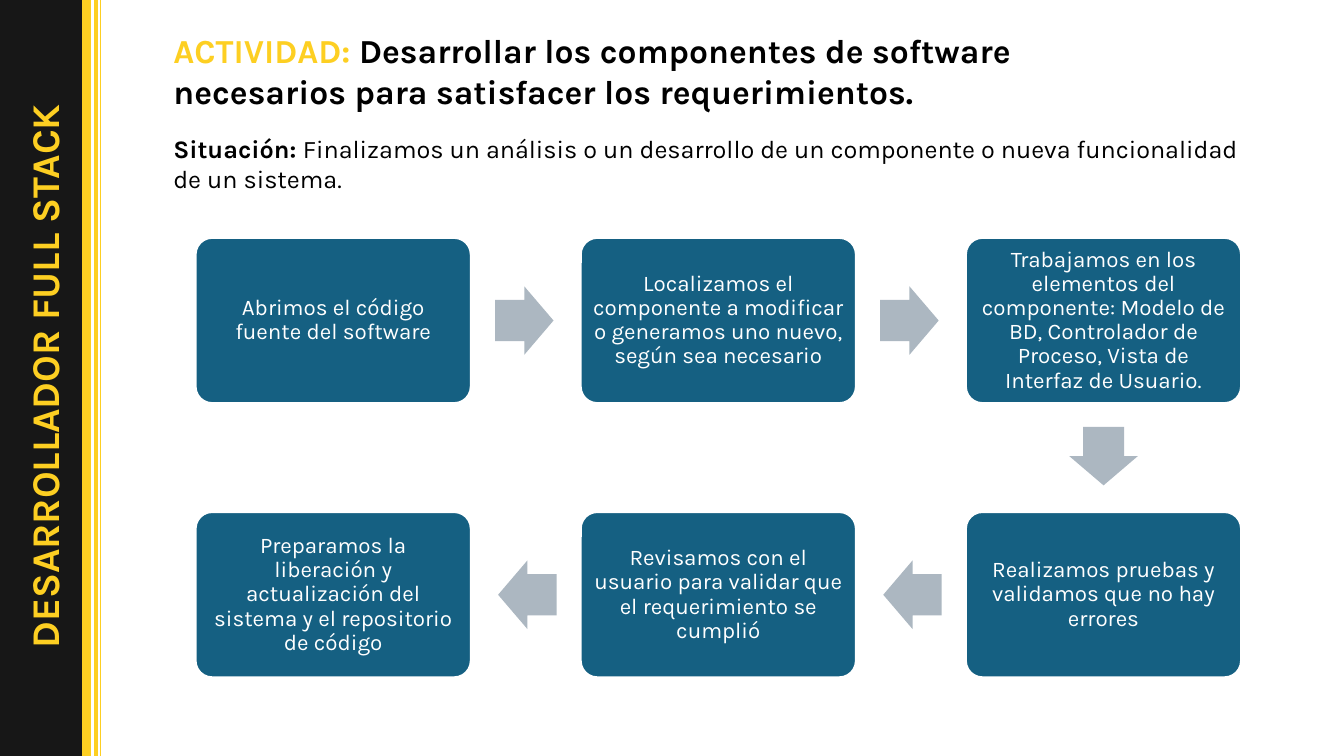
from dataclasses import dataclass
from itertools import pairwise
from math import atan2, cos, degrees, sin

from lxml.etree import SubElement
from pptx import Presentation
from pptx.dml.color import RGBColor
from pptx.enum.shapes import MSO_CONNECTOR as Connector, MSO_SHAPE as Shape
from pptx.enum.text import MSO_ANCHOR as Anchor, MSO_AUTO_SIZE as AutoSize, PP_ALIGN as Align
from pptx.oxml.ns import qn
from pptx.slide import Slide
from pptx.text.text import TextFrame
from pptx.util import Inches, Pt

BLACK = RGBColor(0x00, 0x00, 0x00)
WHITE = RGBColor(0xFF, 0xFF, 0xFF)
CHARCOAL = RGBColor(0x17, 0x17, 0x17)
YELLOW = RGBColor(0xFD, 0xCF, 0x22)
BLUE = RGBColor(0x15, 0x60, 0x82)
GREY = RGBColor(0xAC, 0xB7, 0xC1)

FONT = "Karla"
SLIDE_WIDTH, SLIDE_HEIGHT = 13.33, 7.5
COLUMNS = 3
GRID_LEFT, GRID_TOP = 1.94, 2.36
COLUMN_STEP, ROW_STEP = 3.82, 2.72
BOX_WIDTH, BOX_HEIGHT = 2.73, 1.64
ARROW_LENGTH, ARROW_BREADTH = 0.58, 0.68
ARROW_SETBACK = 0.015


@dataclass(frozen=True)
class Rail:
    x: float
    weight: float


@dataclass(frozen=True)
class Span:
    text: str
    color: RGBColor
    bold: bool = False


@dataclass(frozen=True)
class Step:
    text: str
    column: int
    row: int

    @property
    def center(self) -> tuple[float, float]:
        return (GRID_LEFT + self.column * COLUMN_STEP + BOX_WIDTH / 2,
                GRID_TOP + self.row * ROW_STEP + BOX_HEIGHT / 2)


RAILS = [Rail(0.86, 6), Rail(0.95, 3), Rail(1, 0.5)]
STEP_TEXTS = [
    "Abrimos el código fuente del software",
    "Localizamos el componente a modificar o generamos uno nuevo, según sea necesario",
    "Trabajamos en los elementos del componente: Modelo de BD, Controlador de Proceso, "
    "Vista de Interfaz de Usuario.",
    "Realizamos pruebas y validamos que no hay errores",
    "Revisamos con el usuario para validar que el requerimiento se cumplió",
    "Preparamos la liberación y actualización del sistema y el repositorio de código",
]


def snake(texts: list[str]) -> list[Step]:
    """Lay the steps out left to right, then right to left on the next row."""
    steps = []
    for index, text in enumerate(texts):
        row, column = divmod(index, COLUMNS)
        steps.append(Step(text, COLUMNS - 1 - column if row % 2 else column, row))
    return steps


def set_attributes(target: object, values: dict) -> None:
    for name, value in values.items():
        setattr(target, name, value)


def place(shape, left: float, top: float, width: float, height: float) -> None:
    set_attributes(shape, {"left": Inches(left), "top": Inches(top),
                           "width": Inches(width), "height": Inches(height)})


def write(frame: TextFrame, spans: list[Span], size: float, align: Align = Align.LEFT,
          anchor: Anchor = Anchor.TOP, spacing: float = 1.0) -> None:
    set_attributes(frame, {"word_wrap": True, "auto_size": AutoSize.NONE,
                           "vertical_anchor": anchor})
    para = frame.paragraphs[0]
    set_attributes(para, {"alignment": align, "line_spacing": spacing})
    for span in spans:
        run = para.add_run()
        run.text = span.text
        set_attributes(run.font, {"name": FONT, "size": Pt(size), "bold": span.bold})
        run.font.color.rgb = span.color


def add_filled(slide: Slide, kind: Shape, left: float, top: float, width: float,
               height: float, fill: RGBColor, line: RGBColor | None = None):
    shape = slide.shapes.add_shape(kind, Inches(left), Inches(top),
                                   Inches(width), Inches(height))
    shape.shadow.inherit = False
    shape.fill.solid()
    shape.fill.fore_color.rgb = fill
    if line is None:
        shape.line.fill.background()
    else:
        shape.line.color.rgb = line
        shape.line.width = Pt(1.5)
    return shape


def add_rail(slide: Slide, rail: Rail) -> None:
    line = slide.shapes.add_connector(Connector.STRAIGHT, Inches(rail.x), 0,
                                      Inches(rail.x), Inches(SLIDE_HEIGHT))
    line.line.color.rgb = YELLOW
    line.line.width = Pt(rail.weight)
    SubElement(line._element.spPr, qn("a:effectLst"))


def add_sidebar(slide: Slide) -> None:
    add_filled(slide, Shape.RECTANGLE, 0, 0, 0.89, SLIDE_HEIGHT, CHARCOAL, CHARCOAL)
    for rail in RAILS:
        add_rail(slide, rail)
    label = slide.shapes.add_textbox(Inches(-3.06), Inches(3.45), Inches(7), Inches(0.57))
    label.rotation = 270
    write(label.text_frame, [Span("DESARROLLADOR FULL STACK", YELLOW, True)], 28, Align.CENTER)


def add_heading(slide: Slide) -> None:
    title = slide.shapes.title
    place(title, 1.62, 0.25, 9.49, 0.91)
    write(title.text_frame, [
        Span("ACTIVIDAD: ", YELLOW, True),
        Span("Desarrollar los componentes de software necesarios para satisfacer "
             "los requerimientos.", BLACK, True),
    ], 24)
    situation = slide.shapes.add_textbox(Inches(1.62), Inches(1.27), Inches(11.02), Inches(0.71))
    write(situation.text_frame, [
        Span("Situación: ", BLACK, True),
        Span("Finalizamos un análisis o un desarrollo de un componente o nueva "
             "funcionalidad de un sistema.", BLACK),
    ], 18)


def add_step(slide: Slide, step: Step) -> None:
    x, y = step.center
    box = add_filled(slide, Shape.ROUNDED_RECTANGLE, x - BOX_WIDTH / 2, y - BOX_HEIGHT / 2,
                     BOX_WIDTH, BOX_HEIGHT, BLUE, WHITE)
    box.adjustments[0] = 0.1
    set_attributes(box.text_frame, {f"margin_{side}": Inches(0.07)
                                    for side in ("left", "top", "right", "bottom")})
    write(box.text_frame, [Span(step.text, WHITE)], 16, Align.CENTER, Anchor.MIDDLE, 0.9)


def add_arrow(slide: Slide, start: Step, end: Step) -> None:
    """Point an arrow from one step to the next, just short of the midpoint."""
    (x1, y1), (x2, y2) = start.center, end.center
    angle = atan2(y2 - y1, x2 - x1)
    x = (x1 + x2) / 2 - ARROW_SETBACK * cos(angle)
    y = (y1 + y2) / 2 - ARROW_SETBACK * sin(angle)
    arrow = add_filled(slide, Shape.RIGHT_ARROW, x - ARROW_LENGTH / 2, y - ARROW_BREADTH / 2,
                       ARROW_LENGTH, ARROW_BREADTH, GREY)
    arrow.adjustments[0], arrow.adjustments[1] = 0.6, 0.5
    arrow.rotation = round(degrees(angle))


def main() -> None:
    deck = Presentation()
    set_attributes(deck, {"slide_width": Inches(SLIDE_WIDTH),
                          "slide_height": Inches(SLIDE_HEIGHT)})
    page = deck.slides.add_slide(deck.slide_layouts.get_by_name("Title Only"))
    add_sidebar(page)
    add_heading(page)
    steps = snake(STEP_TEXTS)
    for step in steps:
        add_step(page, step)
    for start, end in pairwise(steps):
        add_arrow(page, start, end)
    deck.save("out.pptx")


if __name__ == "__main__":
    main()
